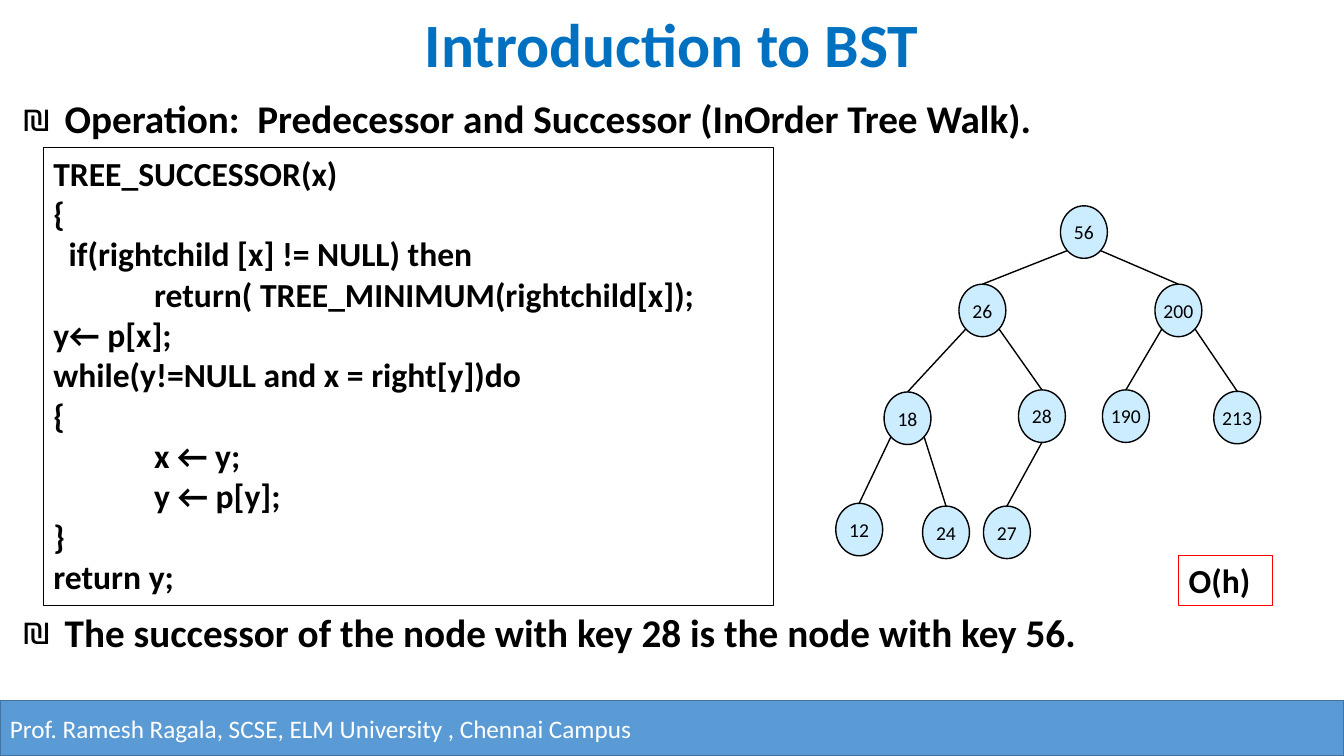
from dataclasses import dataclass
from math import sqrt
from typing import Optional

from lxml import etree
from pptx import Presentation
from pptx.dml.color import RGBColor
from pptx.enum.shapes import MSO_CONNECTOR, MSO_SHAPE
from pptx.enum.text import MSO_ANCHOR, MSO_AUTO_SIZE, PP_ALIGN
from pptx.oxml.ns import qn
from pptx.util import Pt

RECTANGLE, OVAL = MSO_SHAPE.RECTANGLE, MSO_SHAPE.OVAL
STRAIGHT = MSO_CONNECTOR.STRAIGHT
TOP, MIDDLE = MSO_ANCHOR.TOP, MSO_ANCHOR.MIDDLE
LEFT, CENTER = PP_ALIGN.LEFT, PP_ALIGN.CENTER
NO_AUTOFIT = MSO_AUTO_SIZE.NONE

COLORS = {
    "title": "0070C0", "text": "000000", "paper": "FFFFFF",
    "bar": "5B9BD5", "bar line": "43739E",
    "node": "CCECFF", "code line": "000000", "cost line": "FF0000",
}
NODE_WIDTH, NODE_HEIGHT = 33.5, 37.5


@dataclass
class Box:
    left: float
    top: float
    width: float
    height: float
    fill: str
    line: str
    line_width: float
    kind: int = RECTANGLE


@dataclass
class TextLine:
    text: str
    indent: float = 0


@dataclass
class TextStyle:
    size: float
    color: str = "text"
    bold: bool = False
    align: int = LEFT
    anchor: int = TOP
    wrap: bool = True


@dataclass
class Node:
    key: int
    left: float
    top: float
    parent: Optional[int] = None
    side: int = 0  # -1 leaves the parent at lower left, 1 at lower right, 0 at the bottom


def rgb(name: str) -> RGBColor:
    return RGBColor.from_string(COLORS[name])


def set_attributes(target, values: dict) -> None:
    for name, value in values.items():
        setattr(target, name, value)


def write(shape, lines: list[TextLine], style: TextStyle) -> None:
    frame = shape.text_frame
    set_attributes(frame, {"auto_size": NO_AUTOFIT, "word_wrap": style.wrap,
                           "vertical_anchor": style.anchor})
    for index, line in enumerate(lines):
        paragraph = frame.add_paragraph() if index else frame.paragraphs[0]
        paragraph.alignment = style.align
        if line.indent:
            paragraph._p.get_or_add_pPr().set("marL", str(Pt(line.indent)))
        run = paragraph.add_run()
        run.text = line.text
        set_attributes(run.font, {"name": "Calibri", "size": Pt(style.size), "bold": style.bold})
        run.font.color.rgb = rgb(style.color)


def place(shape, left: float, top: float, width: float, height: float) -> None:
    set_attributes(shape, {"left": Pt(left), "top": Pt(top),
                           "width": Pt(width), "height": Pt(height)})


def draw_box(box: Box, lines: list[TextLine], style: TextStyle) -> None:
    shape = slide.shapes.add_shape(box.kind, Pt(box.left), Pt(box.top),
                                   Pt(box.width), Pt(box.height))
    shape.shadow.inherit = False
    shape.fill.solid()
    shape.fill.fore_color.rgb = rgb(box.fill)
    shape.line.color.rgb = rgb(box.line)
    shape.line.width = Pt(box.line_width)
    write(shape, lines, style)


def draw_edge(parent: Node, child: Node) -> None:
    reach = 1 / sqrt(2) if child.side else 1
    start_x = parent.left + NODE_WIDTH / 2 * (1 + child.side * reach)
    start_y = parent.top + NODE_HEIGHT / 2 * (1 + reach)
    edge = slide.shapes.add_connector(STRAIGHT, Pt(start_x), Pt(start_y),
                                      Pt(child.left + NODE_WIDTH / 2), Pt(child.top))
    edge.line.color.rgb = rgb("text")
    edge.line.width = Pt(1)
    etree.SubElement(edge._element.spPr, qn("a:effectLst"))


def add_bullet(paragraph, character: str, indent: float) -> None:
    properties = paragraph._p.get_or_add_pPr()
    properties.set("marL", str(Pt(indent)))
    properties.set("indent", str(-Pt(indent)))
    etree.SubElement(properties, qn("a:buFont"), typeface="Calibri")
    etree.SubElement(properties, qn("a:buChar"), char=character)


presentation = Presentation()
presentation.slide_width, presentation.slide_height = Pt(960), Pt(540)
slide = presentation.slides.add_slide(presentation.slide_layouts[1])
title, body = slide.placeholders

# Title
place(title, 8.5, 6, 943, 56)
write(title, [TextLine("Introduction to BST")],
      TextStyle(44, "title", bold=True, align=CENTER, anchor=MIDDLE))
title.text_frame.paragraphs[0].line_spacing = 0.9

# Statements above and below the code
place(body, 8.5, 70.5, 943, 420.5)
write(body, [TextLine("Operation:  Predecessor and Successor (InOrder Tree Walk)."),
             TextLine("The successor of the node with key 28 is the node with key 56.")],
      TextStyle(28, bold=True))
for paragraph, gap in zip(body.text_frame.paragraphs, (10, 340)):
    set_attributes(paragraph, {"line_spacing": 0.8, "space_before": Pt(gap)})
    add_bullet(paragraph, "\u20aa", 30.5)

# Footer bar
draw_box(Box(0, 500.5, 960, 39.5, "bar", "bar line", 1),
         [TextLine("Prof. Ramesh Ragala, SCSE, ELM University , Chennai Campus")],
         TextStyle(18, "paper", anchor=MIDDLE))

# Successor algorithm
CODE = [
    TextLine("TREE_SUCCESSOR(x)"),
    TextLine("{"),
    TextLine("if(rightchild [x] != NULL) then", 11),
    TextLine("return( TREE_MINIMUM(rightchild[x]);", 72),
    TextLine("y← p[x];"),
    TextLine("while(y!=NULL and x = right[y])do"),
    TextLine("{"),
    TextLine("x ← y;", 72),
    TextLine("y ← p[y];", 72),
    TextLine("}"),
    TextLine("return y;"),
]
code_style = TextStyle(24, bold=True)
draw_box(Box(31, 105.5, 521.5, 327, "paper", "code line", 0.75), CODE, code_style)

# Search tree
NODES = [
    Node(56, 757.5, 147),
    Node(26, 685, 203, 56, -1),
    Node(200, 825, 203, 56, 1),
    Node(18, 631.5, 280, 26, -1),
    Node(28, 727.5, 278.5, 26, 1),
    Node(190, 787.5, 278.5, 200, -1),
    Node(213, 867, 279.5, 200, 1),
    Node(12, 597, 359.5, 18, -1),
    Node(24, 659, 361.5, 18, 1),
    Node(27, 702.5, 361.5, 28),
]
nodes_by_key = {node.key: node for node in NODES}
node_style = TextStyle(14, align=CENTER, anchor=MIDDLE, wrap=False)
for node in NODES:
    if node.parent is not None:
        draw_edge(nodes_by_key[node.parent], node)
    draw_box(Box(node.left, node.top, NODE_WIDTH, NODE_HEIGHT, "node", "text", 1, OVAL),
             [TextLine(str(node.key))], node_style)

# Running time
draw_box(Box(842, 396.5, 67, 36, "paper", "cost line", 0.75), [TextLine("O(h)")], code_style)

presentation.save("out.pptx")
